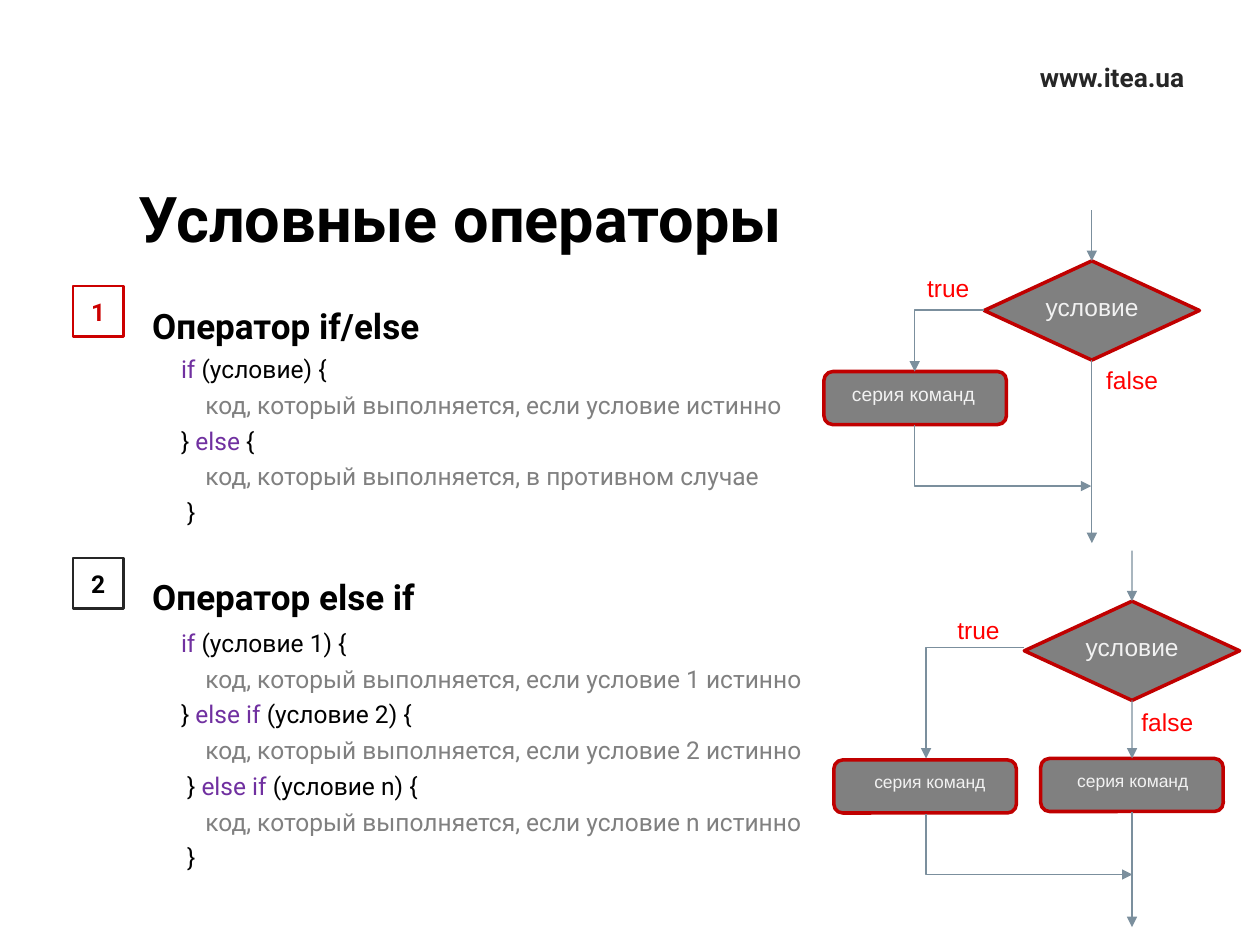
from dataclasses import dataclass

from lxml import etree
from pptx import Presentation
from pptx.dml.color import RGBColor
from pptx.enum.shapes import MSO_CONNECTOR, MSO_SHAPE
from pptx.enum.text import MSO_ANCHOR, MSO_AUTO_SIZE, PP_ALIGN
from pptx.oxml.ns import qn
from pptx.util import Cm, Pt

STRAIGHT, ELBOW = MSO_CONNECTOR.STRAIGHT, MSO_CONNECTOR.ELBOW
RECTANGLE, ROUNDED = MSO_SHAPE.RECTANGLE, MSO_SHAPE.ROUNDED_RECTANGLE
DIAMOND = MSO_SHAPE.DIAMOND
LEFT, CENTER = PP_ALIGN.LEFT, PP_ALIGN.CENTER
TOP, MIDDLE = MSO_ANCHOR.TOP, MSO_ANCHOR.MIDDLE
FIT_SHAPE, NO_FIT = MSO_AUTO_SIZE.SHAPE_TO_FIT_TEXT, MSO_AUTO_SIZE.NONE
SITE_TOP, SITE_BOTTOM = 0, 2


@dataclass(frozen=True)
class Theme:
    text_font: str = "Roboto"
    label_font: str = "Arial"
    black: str = "000000"
    dark: str = "262626"
    accent: str = "CC0000"
    keyword: str = "7030A0"
    gray: str = "808080"
    outline: str = "C00000"
    arrow: str = "7B8F9D"
    branch: str = "FF0000"
    light: str = "F2F2F2"
    title_size: int = 36
    heading_size: int = 20
    site_size: int = 15
    body_size: int = 14


theme = Theme()


def write_line(paragraph, parts, size, font=theme.text_font, bold=False, align=LEFT):
    """Fill a paragraph with (text, colour) runs."""
    paragraph.alignment = align
    for text, color in parts:
        run = paragraph.add_run()
        run.text = text
        run.font.name = font
        run.font.size = Pt(size)
        run.font.bold = bold
        run.font.color.rgb = RGBColor.from_string(color)


def add_arrow(kind, begin_x, begin_y, end_x, end_y):
    """Draw a connector with a triangle at its end and no shadow."""
    arrow = slide.shapes.add_connector(
        kind, Cm(begin_x), Cm(begin_y), Cm(end_x), Cm(end_y))
    arrow.line.color.rgb = RGBColor.from_string(theme.arrow)
    arrow.line.width = Pt(0.75)
    properties = arrow._element.spPr
    etree.SubElement(properties.find(qn("a:ln")), qn("a:tailEnd"), type="triangle")
    etree.SubElement(properties, qn("a:effectLst"))
    if kind == ELBOW:  # one corner only
        properties.find(qn("a:prstGeom")).set("prst", "bentConnector2")
    return arrow


presentation = Presentation()
presentation.slide_width, presentation.slide_height = Cm(25.4), Cm(19.05)
slide = presentation.slides.add_slide(presentation.slide_layouts[5])

# Title
title = slide.shapes.title
title.left, title.top, title.width, title.height = Cm(2.54), Cm(3.5), Cm(22.76), Cm(1.83)
title.text_frame.vertical_anchor = TOP
title.text_frame.auto_size = NO_FIT
write_line(title.text_frame.paragraphs[0], [("Условные операторы", theme.black)],
           theme.title_size, bold=True)

# Site address and section numbers
for kind, left, top, width, height, text, size, color, border in [
    (RECTANGLE, 19.84, 1.14, 5.16, 0.81, "www.itea.ua", theme.site_size, theme.dark, None),
    (RECTANGLE, 1.47, 5.77, 1.02, 1.02, "1", theme.body_size, theme.accent, theme.accent),
    (RECTANGLE, 1.47, 11.25, 1.02, 1.02, "2", theme.body_size, theme.black, theme.dark),
]:
    shape = slide.shapes.add_shape(kind, Cm(left), Cm(top), Cm(width), Cm(height))
    shape.shadow.inherit = False
    shape.fill.background()
    if border:
        shape.line.color.rgb = RGBColor.from_string(border)
        shape.line.width = Pt(1.5)
    else:
        shape.line.fill.background()
    shape.text_frame.vertical_anchor = MIDDLE
    write_line(shape.text_frame.paragraphs[0], [(text, color)], size,
               bold=True, align=CENTER)

# Section headings
for top, heading in [(5.33, "Оператор if/else"), (10.8, "Оператор else if")]:
    box = slide.shapes.add_textbox(Cm(2.82), Cm(top), Cm(20.4), Cm(1.6))
    box.text_frame.word_wrap = True
    box.text_frame.vertical_anchor = MIDDLE
    paragraph = box.text_frame.paragraphs[0]
    paragraph.line_spacing = 2.0
    write_line(paragraph, [(heading, theme.black)], theme.heading_size, bold=True)

# Code samples: each line is (plain, keyword, plain) or a comment
if_else_code = [
    ("", "if ", "(условие) {"),
    "    код, который выполняется, если условие истинно",
    ("} ", "else ", "{"),
    "    код, который выполняется, в противном случае",
    (" }", "", ""),
]
else_if_code = [
    ("", "if ", "(условие 1) {"),
    "    код, который выполняется, если условие 1 истинно",
    ("} ", "else if ", "(условие 2) {"),
    "    код, который выполняется, если условие 2 истинно",
    (" } ", "else if ", "(условие n) {"),
    "    код, который выполняется, если условие n истинно",
    (" }", "", ""),
]
for top, height, code in [(7.29, 3.18, if_else_code), (12.4, 5.43, else_if_code)]:
    box = slide.shapes.add_textbox(Cm(3.4), Cm(top), Cm(20.4), Cm(height))
    frame = box.text_frame
    frame.word_wrap = True
    frame.vertical_anchor = MIDDLE
    for index, line in enumerate(code):
        paragraph = frame.add_paragraph() if index else frame.paragraphs[0]
        if index:
            paragraph.space_before = Pt(3.6)
        if isinstance(line, str):
            parts = [(line, theme.gray)]
        else:
            colors = (theme.black, theme.keyword, theme.black)
            parts = [(text, color) for text, color in zip(line, colors) if text]
        write_line(paragraph, parts, theme.body_size)

# Flowchart blocks
blocks = []
for kind, left, top, width, height in [
    (DIAMOND, 19.84, 5.26, 4.34, 2.0),
    (ROUNDED, 16.61, 7.49, 3.68, 1.07),
    (DIAMOND, 20.65, 12.12, 4.34, 2.0),
    (ROUNDED, 16.81, 15.32, 3.68, 1.07),
    (ROUNDED, 20.98, 15.29, 3.68, 1.07),
]:
    block = slide.shapes.add_shape(kind, Cm(left), Cm(top), Cm(width), Cm(height))
    block.shadow.inherit = False
    block.fill.solid()
    block.fill.fore_color.rgb = RGBColor.from_string(theme.gray)
    block.line.color.rgb = RGBColor.from_string(theme.outline)
    block.line.width = Pt(2)
    blocks.append(block)
condition_1, commands_1, condition_2, commands_2, commands_3 = blocks

# Straight arrows, joined to the blocks
for x, begin_y, end_y, source, target in [
    (22.01, 4.24, 5.26, None, condition_1),
    (22.01, 7.26, 10.95, condition_1, None),
    (22.82, 11.1, 12.12, None, condition_2),
    (22.82, 14.12, 15.29, condition_2, commands_3),
    (22.82, 16.36, 18.69, commands_3, None),
]:
    arrow = add_arrow(STRAIGHT, x, begin_y, x, end_y)
    if source:
        arrow.begin_connect(source, SITE_BOTTOM)
    if target:
        arrow.end_connect(target, SITE_TOP)

# Branches to the left and down
add_arrow(ELBOW, 19.84, 6.25, 18.44, 7.49)
add_arrow(ELBOW, 20.65, 13.06, 18.67, 15.29)

# Returns down and to the right: an elbow turned by 270 degrees about its centre
for left, top, right, bottom in [(18.44, 8.56, 22.0, 9.8), (18.67, 16.41, 22.83, 17.63)]:
    center_x, center_y = (left + right) / 2, (top + bottom) / 2
    half_width, half_height = (bottom - top) / 2, (right - left) / 2
    arrow = add_arrow(ELBOW, center_x + half_width, center_y - half_height,
                      center_x - half_width, center_y + half_height)
    arrow._element.spPr.find(qn("a:xfrm")).set("rot", str(270 * 60000))

# Flowchart labels
for left, top, width, height, text, size, color, align in [
    (18.44, 5.38, 2.21, 0.86, "true", 14, theme.branch, LEFT),
    (22.05, 7.24, 2.16, 0.86, "false", 14, theme.branch, LEFT),
    (20.73, 5.77, 2.57, 0.86, "условие", 14, theme.light, CENTER),
    (16.69, 7.59, 3.45, 0.74, "серия команд", 11, theme.light, CENTER),
    (19.05, 12.27, 2.21, 0.86, "true", 14, theme.branch, LEFT),
    (22.76, 14.12, 2.16, 0.86, "false", 14, theme.branch, LEFT),
    (21.54, 12.62, 2.57, 0.86, "условие", 14, theme.light, CENTER),
    (17.02, 15.42, 3.45, 0.69, "серия команд", 10, theme.light, CENTER),
    (21.11, 15.39, 3.45, 0.69, "серия команд", 10, theme.light, CENTER),
]:
    label = slide.shapes.add_textbox(Cm(left), Cm(top), Cm(width), Cm(height))
    label.text_frame.word_wrap = True
    label.text_frame.auto_size = FIT_SHAPE
    write_line(label.text_frame.paragraphs[0], [(text, color)], size,
               font=theme.label_font, align=align)

presentation.save("out.pptx")
